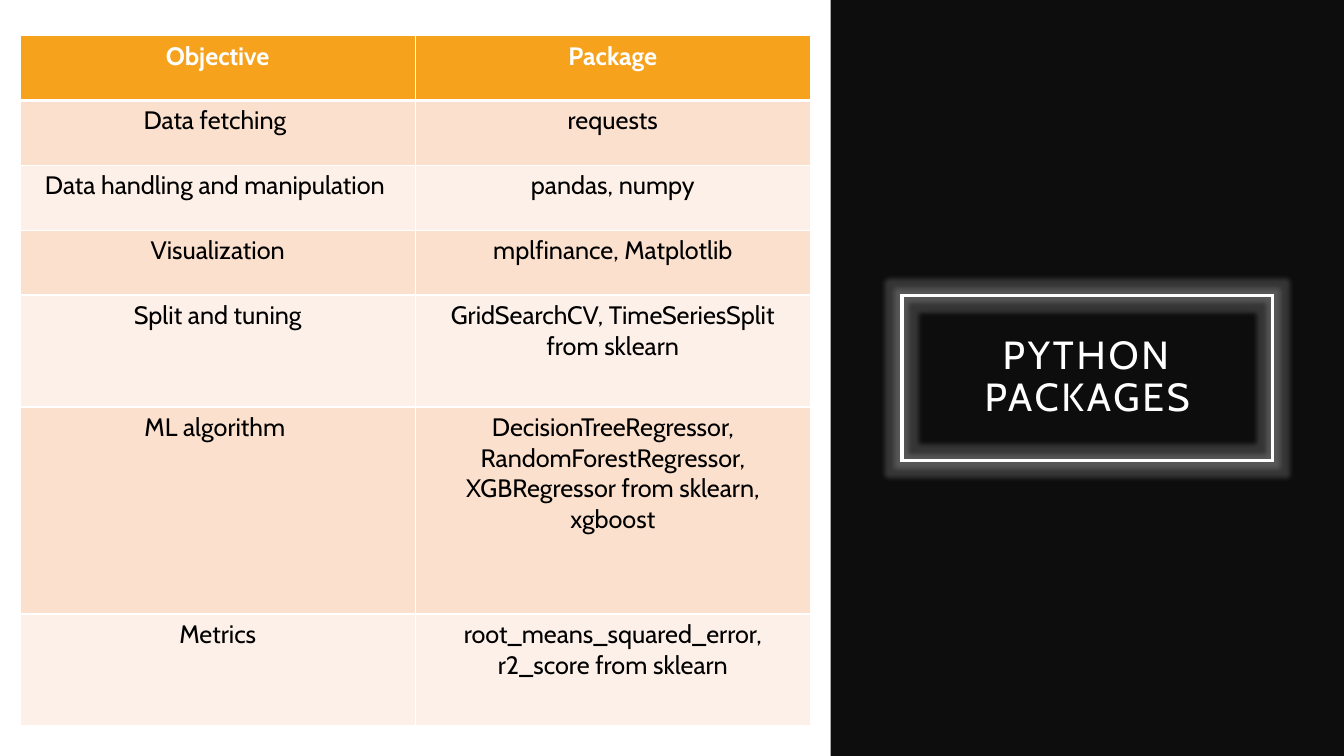
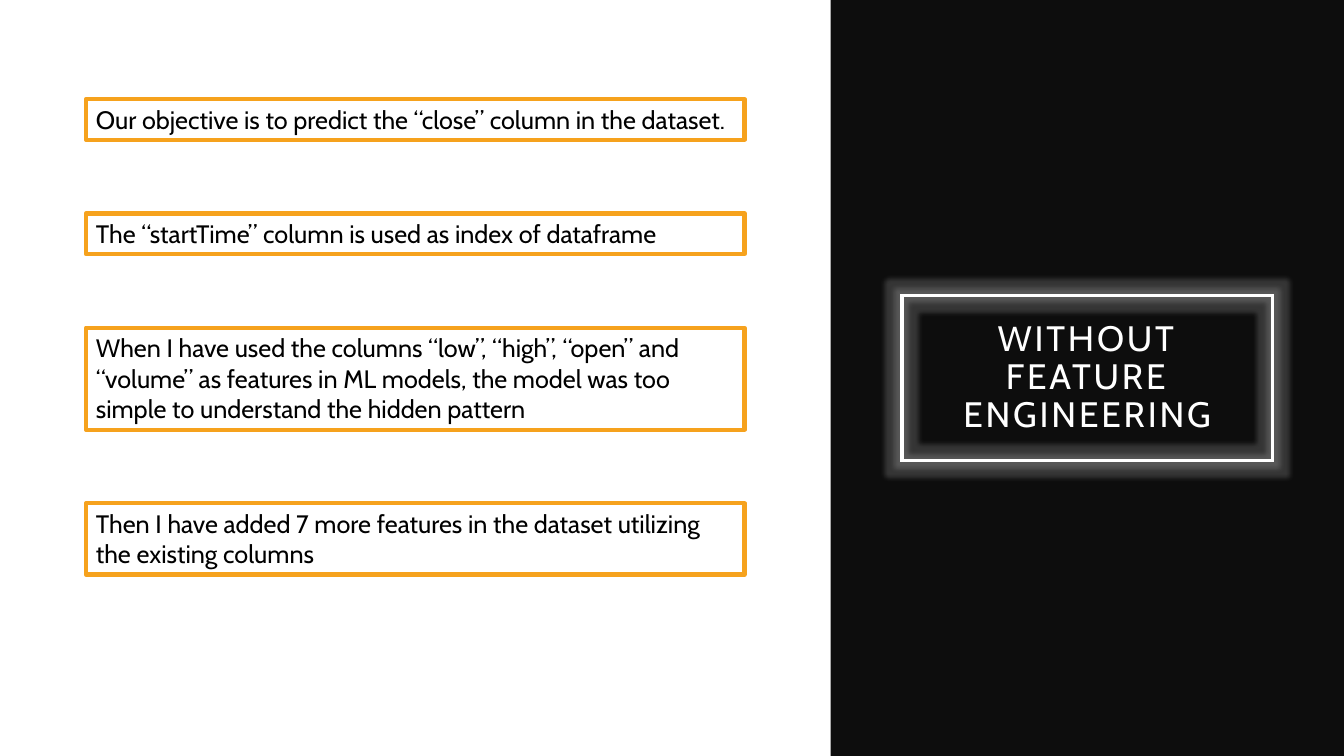
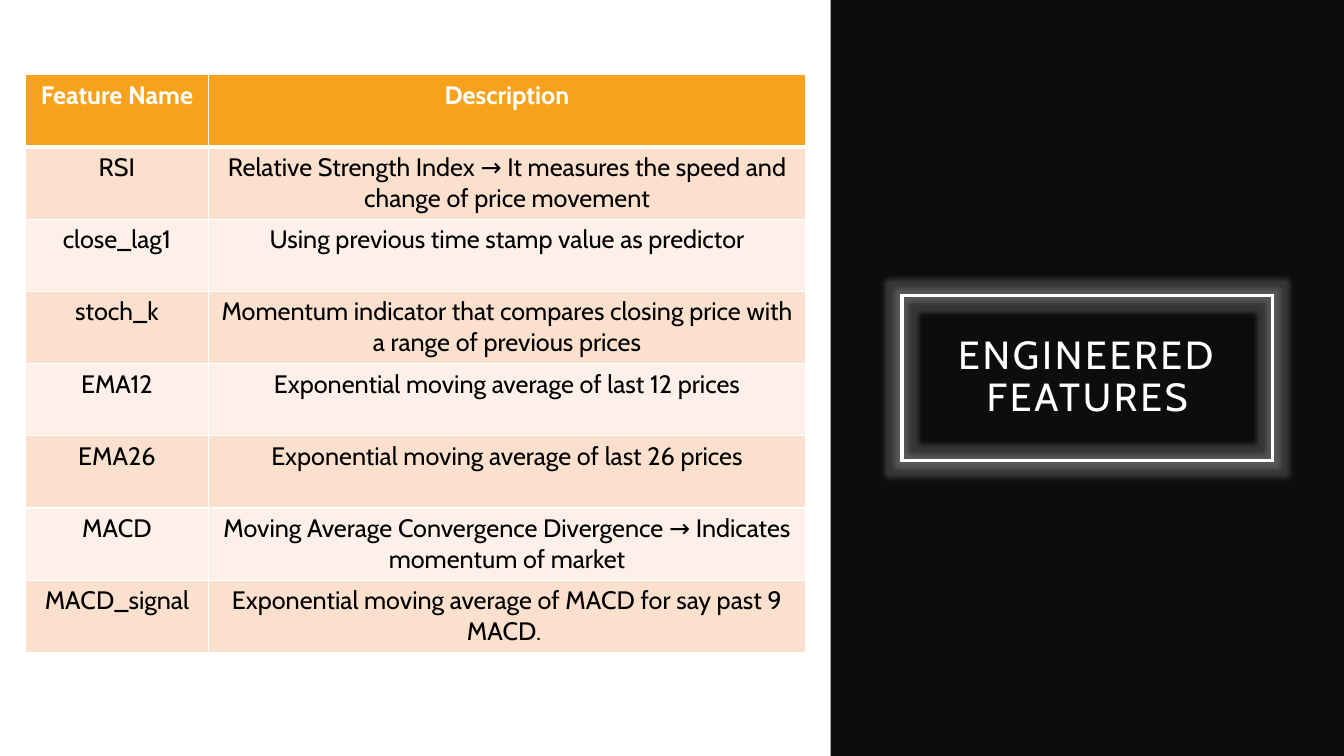
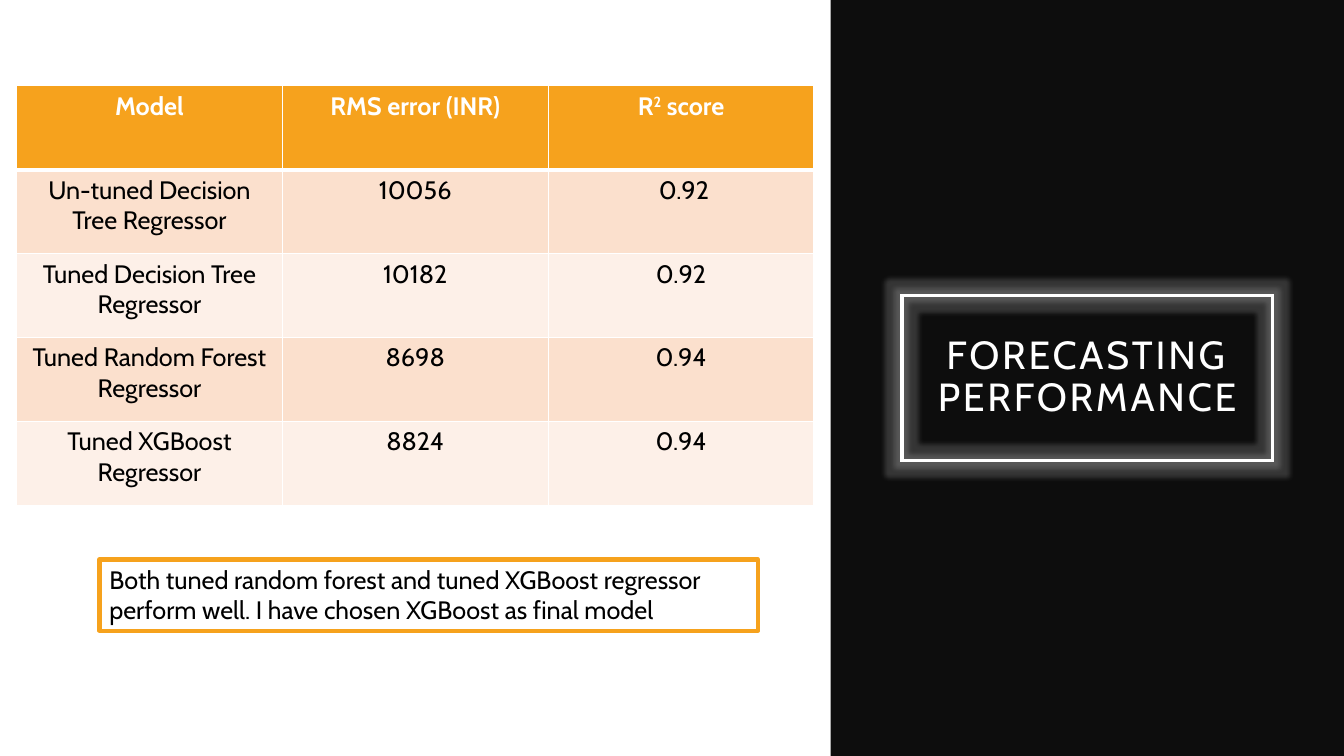
from dataclasses import dataclass

from lxml import etree
from pptx import Presentation
from pptx.dml.color import RGBColor
from pptx.enum.shapes import MSO_SHAPE
from pptx.enum.text import MSO_ANCHOR, MSO_AUTO_SIZE, PP_ALIGN
from pptx.oxml.ns import qn
from pptx.util import Emu, Inches, Pt

RECTANGLE = MSO_SHAPE.RECTANGLE
MIDDLE = MSO_ANCHOR.MIDDLE
GROW = MSO_AUTO_SIZE.SHAPE_TO_FIT_TEXT
CENTER = PP_ALIGN.CENTER
LEFT = PP_ALIGN.LEFT

SLIDE_WIDTH, SLIDE_HEIGHT = Inches(13.333), Inches(7.5)
FONT = "Cabin"
BODY_SIZE = 18
COLORS = {
    "panel": "0D0D0D",
    "white": "FFFFFF",
    "text": "000000",
    "accent": "F6A21D",
    "odd_row": "FBE0CD",
    "even_row": "FDF0E8",
}

# Percentages of the slide's width or height
PANEL_LEFT = 61.8
TITLE_WIDTH, TITLE_HEIGHT = 27.6, 21.87
CALLOUT_WIDTH, CALLOUT_LINE, CALLOUT_PADDING, CALLOUT_GAP = 49, 4.05, 1.33, 9.75


@dataclass(frozen=True)
class Box:
    """A rectangle in percent of the slide's width and height."""
    left: float
    top: float
    width: float
    height: float

    def emu(self) -> tuple[Emu, Emu, Emu, Emu]:
        return (across(self.left), down(self.top), across(self.width), down(self.height))


@dataclass(frozen=True)
class Callout:
    text: str
    lines: int

    @property
    def height(self) -> float:
        return self.lines * CALLOUT_LINE + CALLOUT_PADDING


@dataclass(frozen=True)
class Grid:
    """A table; text between two ^ signs is superscript."""
    top: float
    columns: tuple[float, ...]
    rows: tuple[float, ...]
    cells: tuple[tuple[str, ...], ...]


@dataclass(frozen=True)
class Page:
    title: str
    title_size: float = 28
    grid: Grid | None = None
    callouts: tuple[Callout, ...] = ()
    callout_top: float = 0
    callout_shift: float = 0


PAGES = (
    Page("PYTHON PACKAGES", grid=Grid(
        4.72, (29.4, 29.4), (8.58,) * 4 + (14.8, 27.4, 14.8), (
            ("Objective", "Package"),
            ("Data fetching ", "requests"),
            ("Data handling and manipulation ", "pandas, numpy"),
            ("Visualization", "mplfinance, Matplotlib"),
            ("Split and tuning", "GridSearchCV, TimeSeriesSplit from sklearn"),
            ("ML algorithm ", "DecisionTreeRegressor, RandomForestRegressor, "
                              "XGBRegressor from sklearn, xgboost"),
            ("Metrics", "root_means_squared_error, r2_score from sklearn"),
        ))),
    Page("WITHOUT FEATURE ENGINEERING", title_size=25.2, callout_top=13.1, callouts=(
        Callout("Our objective is to predict the “close” column in the dataset.", 1),
        Callout("The “startTime” column is used as index of dataframe", 1),
        Callout("When I have used the columns “low”, “high”, “open” and “volume” as features "
                "in ML models, the model was too simple to understand the hidden pattern", 3),
        Callout("Then I have added 7 more features in the dataset utilizing "
                "the existing columns", 2),
    )),
    Page("ENGINEERED FEATURES", grid=Grid(
        9.9, (13.65, 44.4), (9.55,) * 8, (
            ("Feature Name", "Description"),
            ("RSI", "Relative Strength Index → It measures the speed and "
                    "change of price movement"),
            ("close_lag1", "Using previous time stamp value as predictor"),
            ("stoch_k", "Momentum indicator that compares closing price with "
                        "a range of previous prices"),
            ("EMA12", "Exponential moving average of last 12 prices"),
            ("EMA26", "Exponential moving average of last 26 prices"),
            ("MACD", "Moving Average Convergence Divergence → "
                     "Indicates momentum of market"),
            ("MACD_signal", "Exponential moving average of MACD for say past 9 MACD. "),
        ))),
    Page("FORECASTING PERFORMANCE", callout_top=74, callout_shift=1, grid=Grid(
        11.36, (19.78,) * 3, (11.1,) * 5, (
            ("Model", "RMS error (INR)", "R^2^ score"),
            ("Un-tuned Decision Tree Regressor", "10056", " 0.92"),
            ("Tuned Decision Tree Regressor", "10182", "0.92"),
            ("Tuned Random Forest Regressor", "8698", "0.94"),
            ("Tuned XGBoost Regressor", "8824", "0.94"),
        )), callouts=(
        Callout("Both tuned random forest and tuned XGBoost regressor perform well. "
                "I have chosen XGBoost as final model", 2),
    )),
)


def across(percent: float) -> Emu:
    return Emu(round(SLIDE_WIDTH * percent / 100))


def down(percent: float) -> Emu:
    return Emu(round(SLIDE_HEIGHT * percent / 100))


def color(name: str) -> RGBColor:
    return RGBColor.from_string(COLORS[name])


def add_color(parent, name: str) -> None:
    fill = etree.SubElement(parent, qn("a:solidFill"))
    etree.SubElement(fill, qn("a:srgbClr"), val=COLORS[name])


def style_span(span, size: float, color_name: str, bold: bool = False) -> None:
    span.font.name = FONT
    span.font.size = Pt(size)
    span.font.bold = bold
    span.font.color.rgb = color(color_name)


def add_framed_text(slide, box: Box, text: str, size: float, text_color: str,
                    line_color: str, line_width: float, align):
    shape = slide.shapes.add_textbox(*box.emu())
    shape.line.color.rgb = color(line_color)
    shape.line.width = Pt(line_width)
    frame = shape.text_frame
    frame.word_wrap = True
    frame.text = text
    para = frame.paragraphs[0]
    para.alignment = align
    style_span(para.runs[0], size, text_color)
    return shape


def add_glow(shape) -> None:
    """Sharp corners and a faint white halo around the outline."""
    properties = shape.element.spPr
    etree.SubElement(properties.find(qn("a:ln")), qn("a:miter"), lim="800000")
    effects = etree.SubElement(properties, qn("a:effectLst"))
    glow = etree.SubElement(effects, qn("a:glow"), rad=str(Inches(0.1)))
    tint = etree.SubElement(glow, qn("a:srgbClr"), val=COLORS["white"])
    etree.SubElement(tint, qn("a:alpha"), val="17000")


def add_title_panel(slide, title: str, size: float) -> None:
    panel_width = 100 - PANEL_LEFT
    panel = slide.shapes.add_shape(RECTANGLE, *Box(PANEL_LEFT, 0, panel_width, 100).emu())
    panel.shadow.inherit = False
    panel.fill.solid()
    panel.fill.fore_color.rgb = color("panel")
    panel.line.fill.background()

    box = Box(PANEL_LEFT + (panel_width - TITLE_WIDTH) / 2, (100 - TITLE_HEIGHT) / 2,
              TITLE_WIDTH, TITLE_HEIGHT)
    shape = add_framed_text(slide, box, title, size, "white", "white", 2.5, CENTER)
    add_glow(shape)
    frame = shape.text_frame
    frame.vertical_anchor = MIDDLE
    frame.margin_left = frame.margin_right = Inches(0.2)
    frame.margin_top = frame.margin_bottom = Inches(0.2)
    para = frame.paragraphs[0]
    para.line_spacing = 0.9
    para.runs[0].font._element.set("spc", "200")


def add_callouts(slide, callouts: tuple[Callout, ...], top: float, shift: float) -> None:
    """Stack framed texts with equal gaps."""
    left = (PANEL_LEFT - CALLOUT_WIDTH) / 2 + shift
    for callout in callouts:
        box = Box(left, top, CALLOUT_WIDTH, callout.height)
        shape = add_framed_text(slide, box, callout.text, BODY_SIZE, "text", "accent", 3, LEFT)
        shape.text_frame.auto_size = GROW
        top += callout.height + CALLOUT_GAP


def set_borders(cell, row: int) -> None:
    """White rules, thicker between the header and the body."""
    widths = {"L": 1, "R": 1, "T": 3 if row == 1 else 1, "B": 3 if row == 0 else 1}
    properties = cell._tc.get_or_add_tcPr()
    for side, width in widths.items():
        line = etree.SubElement(properties, qn(f"a:ln{side}"), w=str(Pt(width)))
        add_color(line, "white")


def fill_cell(cell, text: str, row: int) -> None:
    header = row == 0
    set_borders(cell, row)
    cell.fill.solid()
    fill_name = "accent" if header else "odd_row" if row % 2 else "even_row"
    cell.fill.fore_color.rgb = color(fill_name)
    para = cell.text_frame.paragraphs[0]
    para.alignment = CENTER
    for index, part in enumerate(text.split("^")):
        span = para.add_run()
        span.text = part
        style_span(span, BODY_SIZE, "white" if header else "text", header)
        if index % 2:
            span.font._element.set("baseline", "30000")


def add_grid(slide, grid: Grid) -> None:
    width = sum(grid.columns)
    box = Box((PANEL_LEFT - width) / 2, grid.top, width, sum(grid.rows))
    table = slide.shapes.add_table(len(grid.rows), len(grid.columns), *box.emu()).table
    table.horz_banding = False
    for column, share in zip(table.columns, grid.columns):
        column.width = across(share)
    for row, share in zip(table.rows, grid.rows):
        row.height = down(share)
    for row, texts in enumerate(grid.cells):
        for column, text in enumerate(texts):
            fill_cell(table.cell(row, column), text, row)


def main() -> None:
    deck = Presentation()
    deck.slide_width, deck.slide_height = SLIDE_WIDTH, SLIDE_HEIGHT
    blank = deck.slide_layouts[6]
    for page in PAGES:
        slide = deck.slides.add_slide(blank)
        add_title_panel(slide, page.title, page.title_size)
        if page.grid:
            add_grid(slide, page.grid)
        add_callouts(slide, page.callouts, page.callout_top, page.callout_shift)
    deck.save("out.pptx")


if __name__ == "__main__":
    main()
